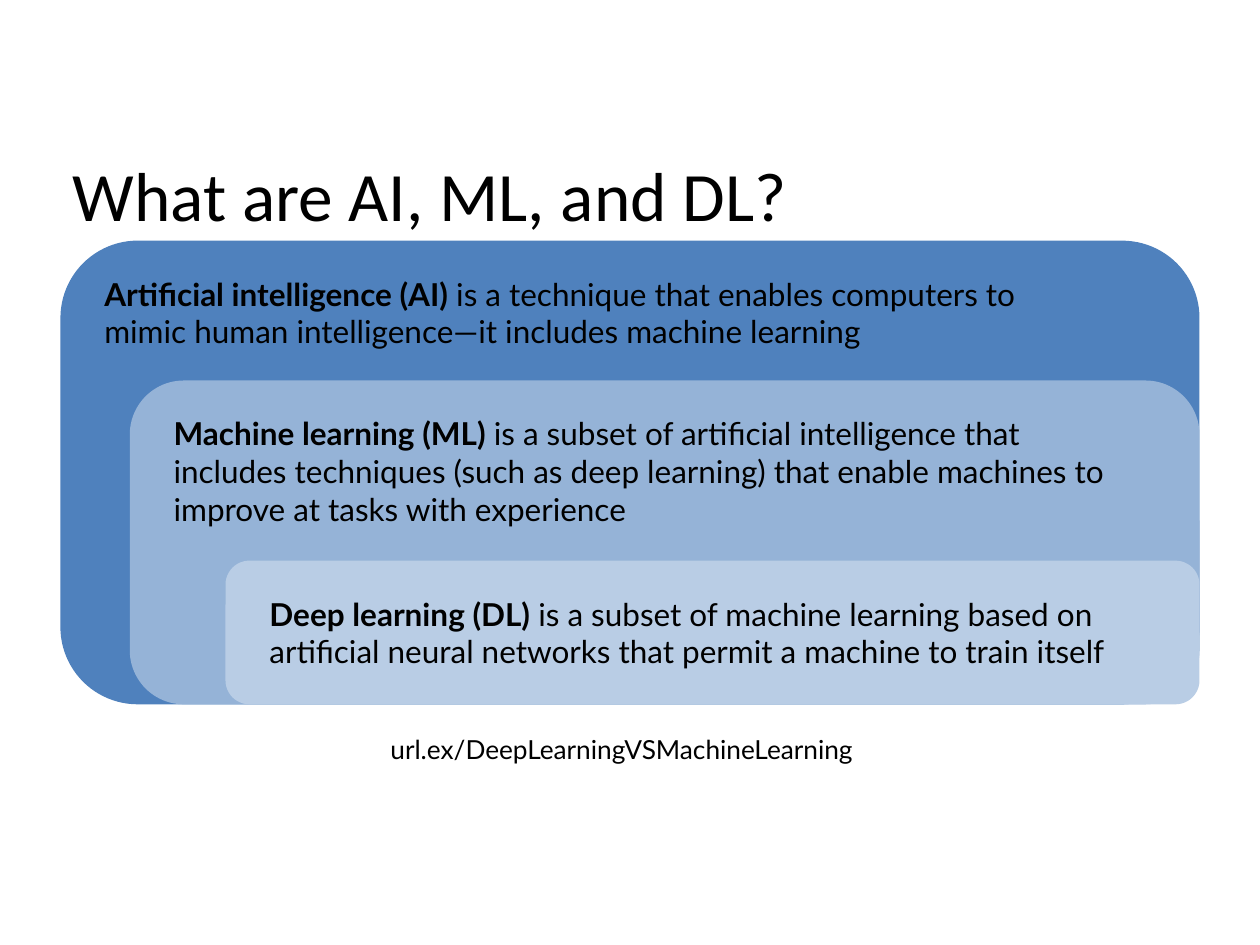
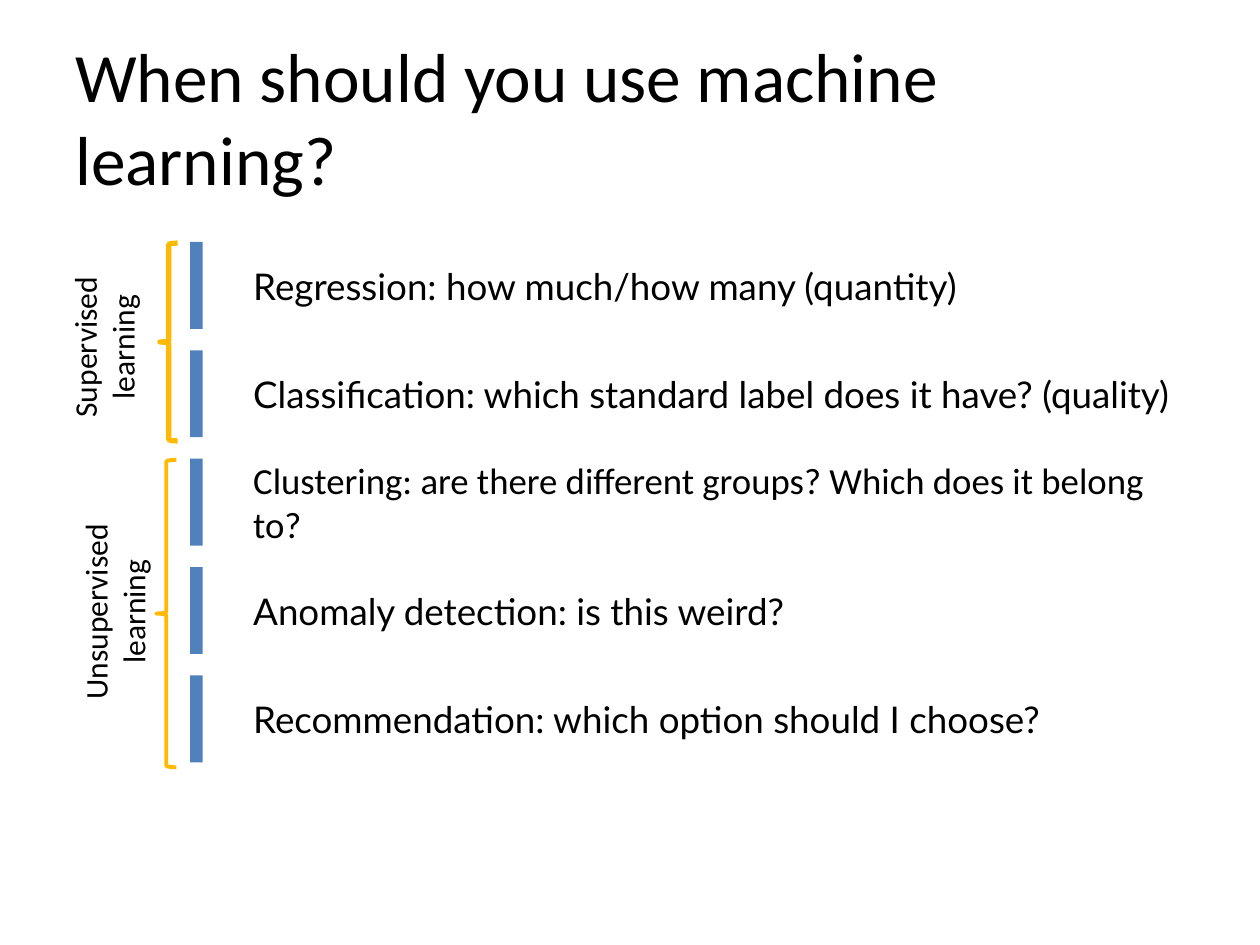
from dataclasses import dataclass

from pptx import Presentation
from pptx.dml.color import RGBColor
from pptx.enum import shapes, text
from pptx.util import Inches, Pt


@dataclass(frozen=True)
class Theme:
    ink: str = "000000"
    blue: str = "4F81BD"
    mid: str = "95B3D7"
    pale: str = "B9CDE5"
    gold: str = "FFB900"
    head: str = "Calibri"
    body: str = "Lato"
    title: float = 39.6
    item: float = 21
    note: float = 18
    link: float = 15


T = Theme()
SHAPE = shapes.MSO_SHAPE
MID = text.MSO_ANCHOR.MIDDLE
LEFT, CENTER = text.PP_ALIGN.LEFT, text.PP_ALIGN.CENTER

RIGHT, BASE = 9.52, 5.59  # edges shared by the nested panels
PANELS = [
    (0.48, 1.91, 7.73, T.blue, "Artificial intelligence (AI)",
     " is a technique that enables computers to mimic human "
     "intelligence—it includes machine learning"),
    (1.03, 3.02, 7.73, T.mid, "Machine learning (ML)",
     " is a subset of artificial intelligence that includes techniques "
     "(such as deep learning) that enable machines to improve at tasks "
     "with experience"),
    (1.79, 4.45, 7.48, T.pale, "Deep learning (DL)",
     " is a subset of machine learning based on artificial neural "
     "networks that permit a machine to train itself"),
]

ROW, STEP, BAR = 1.92, 0.86, 0.69  # first row, pitch, bar height
TASKS = [
    ("Regression: how much/how many (quantity)", T.body),
    ("Classification: which standard label does it have? (quality)", T.body),
    ("Clustering: are there different groups? Which does it belong to?",
     T.head),
    ("Anomaly detection: is this weird?", T.body),
    ("Recommendation: which option should I choose?", T.body),
]
GROUPS = [
    ("Supervised", (0.16, 2.4, 1.33, 0.71), (1.27, 1.93, 0.14, 1.57), 3),
    ("Unsupervised", (0.11, 4.5, 1.6, 0.71), (1.24, 3.65, 0.16, 2.44), 2.25),
]


def shape(slide, kind, box, fill=None, line=None, width=0.75):
    item = slide.shapes.add_shape(kind, *map(Inches, box))
    item.shadow.inherit = False
    if fill:
        item.fill.solid()
        item.fill.fore_color.rgb = RGBColor.from_string(fill)
    else:
        item.fill.background()
    if line:
        item.line.color.rgb = RGBColor.from_string(line)
        item.line.width = Pt(width)
    else:
        item.line.fill.background()


def label(slide, box, lines, size, face, align=LEFT, wrap=True):
    """Add text; each line is a list of (words, bold) runs."""
    item = slide.shapes.add_textbox(*map(Inches, box))
    frame = item.text_frame
    frame.word_wrap = wrap
    for i, runs in enumerate(lines):
        para = frame.add_paragraph() if i else frame.paragraphs[0]
        para.alignment = align
        para.font.size = Pt(size)
        para.font.name = face
        para.font.color.rgb = RGBColor.from_string(T.ink)
        for words, bold in runs:
            run = para.add_run()
            run.text = words
            if bold:
                run.font.bold = True
    return item


def title(slide, box, words):
    item = label(slide, box, [[(words, False)]], T.title, T.head)
    item.text_frame.vertical_anchor = MID


def panel(slide, left, top, wide, fill, term, rest):
    box = (left, top, RIGHT - left, BASE - top)
    shape(slide, SHAPE.ROUNDED_RECTANGLE, box, fill)
    label(slide, (left + 0.25, top + 0.22, wide, 0.91),
          [[(term, True), (rest, False)]], T.note, T.body)


def task(slide, row, words, face):
    top = ROW + row * STEP
    shape(slide, SHAPE.RECTANGLE, (1.51, top, 0.1, BAR), T.blue)
    item = label(slide, (1.78, top, 7.73, BAR), [[(words, False)]],
                 T.item, face)
    frame = item.text_frame
    frame.vertical_anchor = MID
    frame.margin_left = Inches(0.23)
    frame.margin_top = frame.margin_right = frame.margin_bottom = 0


def group(slide, name, box, brace, width):
    """Add a brace with its name turned upright beside it."""
    shape(slide, SHAPE.LEFT_BRACE, brace, line=T.gold, width=width)
    item = label(slide, box, [[(name, False)], [("learning", False)]],
                 T.note, T.head, CENTER, False)
    item.rotation = 270


def terms(slide):
    for spec_row in PANELS:
        panel(slide, *spec_row)
    title(slide, (0.48, 1.31, 9.04, 0.45), "What are AI, ML, and DL?")
    label(slide, (3, 5.77, 4.05, 0.35),
          [[("url.ex/DeepLearningVSMachineLearning", False)]],
          T.link, T.body, wrap=False)


def uses(slide):
    title(slide, (0.5, 0.3, 9, 1.25), "When should you use machine learning?")
    for part in GROUPS:
        group(slide, *part)
    for row, (words, face) in enumerate(TASKS):
        task(slide, row, words, face)


def main():
    deck = Presentation()
    deck.slide_width, deck.slide_height = Inches(10), Inches(7.5)
    for draw in (terms, uses):
        draw(deck.slides.add_slide(deck.slide_layouts[6]))
    deck.save("out.pptx")


if __name__ == "__main__":
    main()
